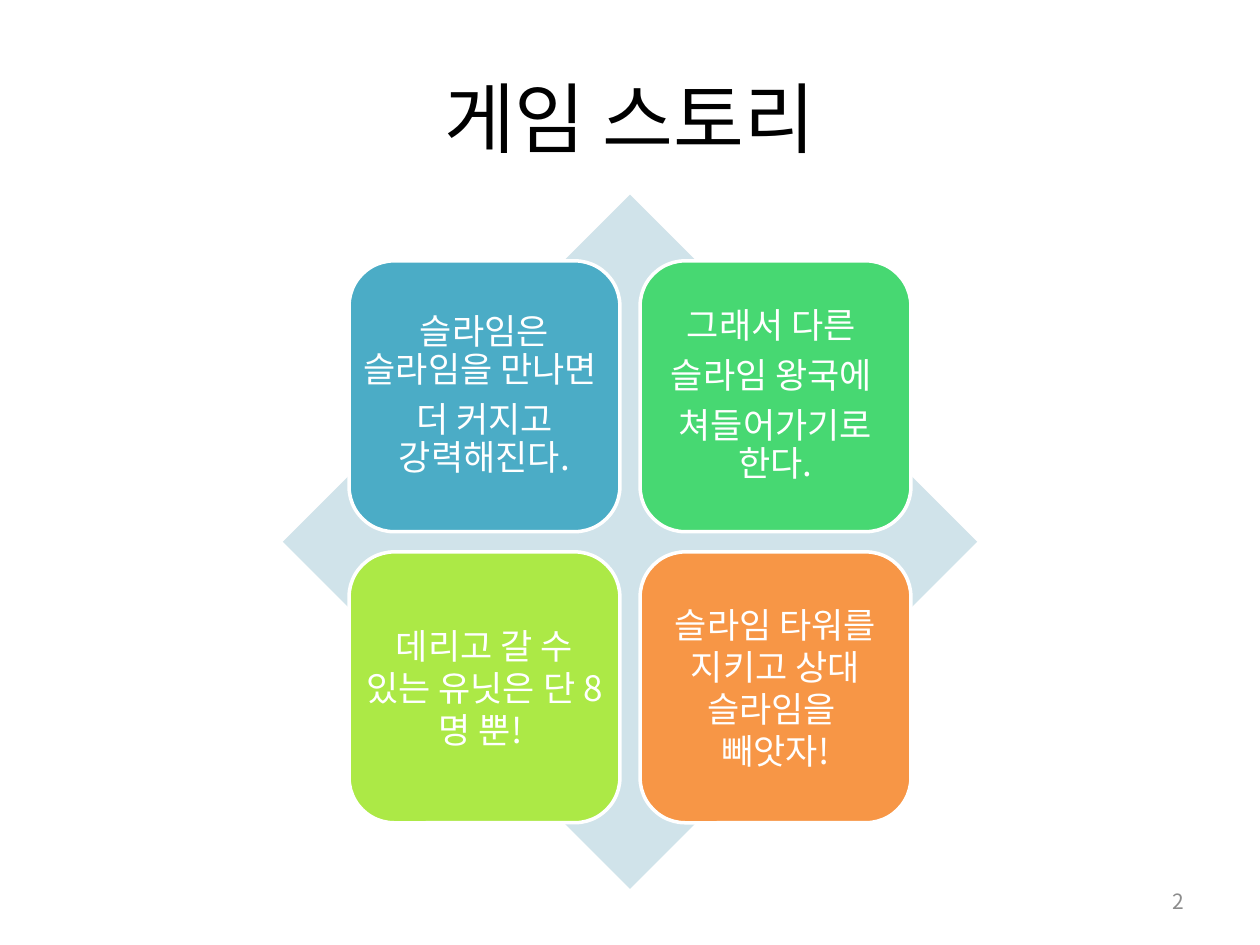
"""Build the game story slide: four rounded cards over a diamond."""
from lxml.etree import SubElement
from pptx import Presentation
from pptx.dml.color import RGBColor
from pptx.enum.shapes import MSO_SHAPE as Shape
from pptx.enum.text import MSO_ANCHOR as Anchor, PP_ALIGN as Align
from pptx.oxml.ns import qn
from pptx.util import Inches, Pt

FONT = "Noto Sans CJK KR"
COLORS = {
    "diamond": "D0E3EA", "blue": "4BACC6", "green": "47D872", "lime": "ACE946",
    "orange": "F79646", "white": "FFFFFF", "black": "000000", "gray": "8C8C8C",
}
CARDS = [
    ("blue", 0.9, 7, ["슬라임은 슬라임을 만나면 ", "더 커지고 강력해진다."]),
    ("green", 0.9, 7, ["그래서 다른 ", "슬라임 왕국에 ", "쳐들어가기로 한다."]),
    ("lime", 1.0, 0, ["데리고 갈 수 있는 유닛은 단 8명 뿐! "]),
    ("orange", 1.0, 0, ["슬라임 타워를 지키고 상대 슬라임을 ", "빼앗자!"]),
]


def write_text(shape, lines, size, color, alignment, spacing=1.0, after=0, margin=None):
    frame = shape.text_frame
    frame.word_wrap = True
    frame.vertical_anchor = Anchor.MIDDLE
    if margin is not None:
        for side in ("left", "top", "right", "bottom"):
            setattr(frame, f"margin_{side}", margin)
    for index, line in enumerate(lines):
        paragraph = frame.paragraphs[0] if index == 0 else frame.add_paragraph()
        layout = {"alignment": alignment, "line_spacing": spacing, "space_after": Pt(after)}
        for name, value in layout.items():
            setattr(paragraph, name, value)
        run = paragraph.add_run()
        run.text = line
        for name, value in {"name": FONT, "size": Pt(size)}.items():
            setattr(run.font, name, value)
        run.font.color.rgb = RGBColor.from_string(COLORS[color])
        SubElement(run.font._element, qn("a:ea")).set("typeface", FONT)


def add_filled(kind, left, top, size, color):
    shape = slide.shapes.add_shape(kind, int(left), int(top), int(size), int(size))
    shape.shadow.inherit = False
    shape.fill.solid()
    shape.fill.fore_color.rgb = RGBColor.from_string(COLORS[color])
    shape.line.fill.background()
    return shape


presentation = Presentation()
width = presentation.slide_width = Inches(10)
height = presentation.slide_height = Inches(7.5)
slide = presentation.slides.add_slide(presentation.slide_layouts[5])

title = slide.shapes.title
box = {"left": 0.05 * width, "top": 0.04 * height, "width": 0.9 * width, "height": height / 6}
for name, value in box.items():
    setattr(title, name, int(value))
write_text(title, ["게임 스토리"], 44, "black", Align.CENTER)

diamond_size = Inches(5.51)
center_x, center_y = width / 2, Inches(4.3)
add_filled(Shape.DIAMOND, center_x - diamond_size / 2, center_y - diamond_size / 2,
           diamond_size, "diamond")

card_size, gap = Inches(2.15), Inches(0.16)
grid_left = center_x - card_size - gap / 2
grid_top = center_y - card_size - gap / 2
for index, (color, spacing, after, lines) in enumerate(CARDS):
    row, column = divmod(index, 2)
    card = add_filled(Shape.ROUNDED_RECTANGLE, grid_left + column * (card_size + gap),
                      grid_top + row * (card_size + gap), card_size, color)
    card.line.color.rgb = RGBColor.from_string(COLORS["white"])
    card.line.width = Pt(2)
    write_text(card, lines, 20, "white", Align.CENTER, spacing, after, 0)

number_width = Inches(2.33)
number = slide.shapes.add_textbox(int(0.95 * width - number_width), Inches(6.95),
                                  number_width, Inches(0.4))
write_text(number, ["2"], 12, "gray", Align.RIGHT)

presentation.save("out.pptx")
